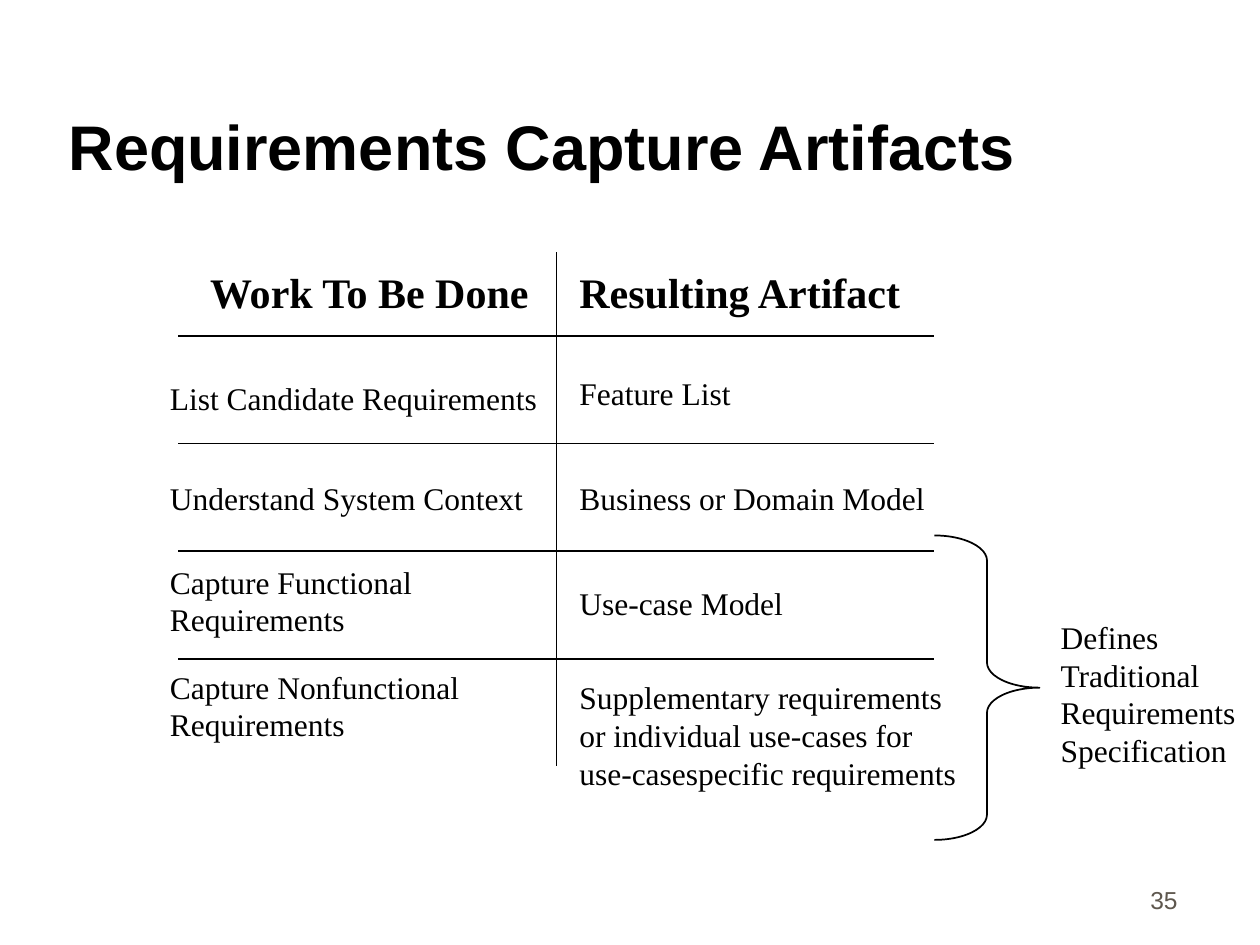
from dataclasses import dataclass

from lxml import etree
from pptx import Presentation
from pptx.dml.color import RGBColor
from pptx.enum.shapes import MSO_CONNECTOR, MSO_SHAPE
from pptx.enum.text import MSO_ANCHOR, MSO_AUTO_SIZE, PP_ALIGN
from pptx.oxml.ns import qn
from pptx.slide import Slide
from pptx.text.text import TextFrame
from pptx.util import Pt

STRAIGHT = MSO_CONNECTOR.STRAIGHT
RIGHT_BRACE = MSO_SHAPE.RIGHT_BRACE
BOTTOM = MSO_ANCHOR.BOTTOM
GROW = MSO_AUTO_SIZE.SHAPE_TO_FIT_TEXT
LEFT, RIGHT = PP_ALIGN.LEFT, PP_ALIGN.RIGHT

BLACK = RGBColor(0x00, 0x00, 0x00)
GREY = RGBColor(0x5E, 0x57, 0x4E)

SANS = "Arial"
SERIF = "Times New Roman"

GRID_LEFT, GRID_RIGHT = 102, 534
GRID_TOP, GRID_BOTTOM = 144, 438
COLUMN_DIVIDER = (GRID_LEFT + GRID_RIGHT) / 2
FIRST_RULE, ROW_HEIGHT, RULE_COUNT = 192, 61.5, 4
WORK_LEFT, ARTIFACT_LEFT = 90, 324


@dataclass(frozen=True)
class Label:
    text: str
    left: float
    top: float
    width: float
    height: float = 29
    size: float = 18
    bold: bool = False
    wrap: bool = False


LABELS = [
    Label("Work To Be Done", 113, 148.5, 200, 36, 24, True),
    Label("Resulting Artifact", ARTIFACT_LEFT, 148.5, 199, 36, 24, True),
    Label("List Candidate Requirements", WORK_LEFT, 213, 226),
    Label("Understand System Context", WORK_LEFT, 270, 218),
    Label("Capture Functional Requirements", WORK_LEFT, 318, 204, 50.5, wrap=True),
    Label("Capture Nonfunctional Requirements", WORK_LEFT, 378, 222, 50.5, wrap=True),
    Label("Feature List", ARTIFACT_LEFT, 210, 102),
    Label("Business or Domain Model", ARTIFACT_LEFT, 270, 213),
    Label("Use-case Model", ARTIFACT_LEFT, 330, 132),
    Label(
        "Supplementary requirements\nor individual use-cases for\n"
        "use-casespecific requirements",
        ARTIFACT_LEFT, 384, 231, 72,
    ),
    Label("Defines\nTraditional\nRequirements\nSpecification", 599, 349.5, 115, 94),
]


def format_text(
    text_frame: TextFrame,
    font_name: str,
    size: float,
    color: RGBColor = BLACK,
    bold: bool = False,
    alignment: PP_ALIGN = LEFT,
) -> None:
    for paragraph in text_frame.paragraphs:
        paragraph.alignment = alignment
        for run in paragraph.runs:
            run.font.name = font_name
            run.font.size = Pt(size)
            run.font.bold = bold
            run.font.color.rgb = color


def add_title(slide: Slide, text: str) -> None:
    title = slide.shapes.title
    title.left, title.top, title.width, title.height = Pt(32), Pt(18), Pt(612), Pt(90)
    title.text_frame.text = text
    title.text_frame.vertical_anchor = BOTTOM
    format_text(title.text_frame, SANS, 36, bold=True)


def add_label(slide: Slide, label: Label) -> None:
    box = slide.shapes.add_textbox(
        Pt(label.left), Pt(label.top), Pt(label.width), Pt(label.height)
    )
    text_frame = box.text_frame
    text_frame.word_wrap = label.wrap
    text_frame.auto_size = GROW
    text_frame.text = label.text
    format_text(text_frame, SERIF, label.size, bold=label.bold)


def add_rule(slide: Slide, x1: float, y1: float, x2: float, y2: float) -> None:
    rule = slide.shapes.add_connector(STRAIGHT, Pt(x1), Pt(y1), Pt(x2), Pt(y2))
    rule.line.color.rgb = BLACK
    rule.line.width = Pt(1)
    etree.SubElement(rule._element.spPr, qn("a:effectLst"))


def add_brace(slide: Slide) -> None:
    brace = slide.shapes.add_shape(
        RIGHT_BRACE, Pt(GRID_RIGHT), Pt(306), Pt(60), Pt(174)
    )
    brace.adjustments[0] = 0.24
    brace.shadow.inherit = False
    brace.fill.background()
    brace.line.color.rgb = BLACK
    brace.line.width = Pt(1)


def add_page_number(slide: Slide, number: str) -> None:
    box = slide.shapes.add_textbox(Pt(530), Pt(490), Pt(150), Pt(36))
    text_frame = box.text_frame
    text_frame.word_wrap = True
    text_frame.vertical_anchor = BOTTOM
    text_frame.text = number
    format_text(text_frame, SANS, 14, GREY, alignment=RIGHT)


def main() -> None:
    presentation = Presentation()
    presentation.slide_width, presentation.slide_height = Pt(720), Pt(540)
    title_only = presentation.slide_layouts[5]
    slide = presentation.slides.add_slide(title_only)

    add_page_number(slide, "35")
    add_title(slide, "Requirements Capture Artifacts")
    for row in range(RULE_COUNT):
        y = FIRST_RULE + row * ROW_HEIGHT
        add_rule(slide, GRID_LEFT, y, GRID_RIGHT, y)
    add_rule(slide, COLUMN_DIVIDER, GRID_TOP, COLUMN_DIVIDER, GRID_BOTTOM)
    for label in LABELS:
        add_label(slide, label)
    add_brace(slide)

    presentation.save("out.pptx")


if __name__ == "__main__":
    main()
